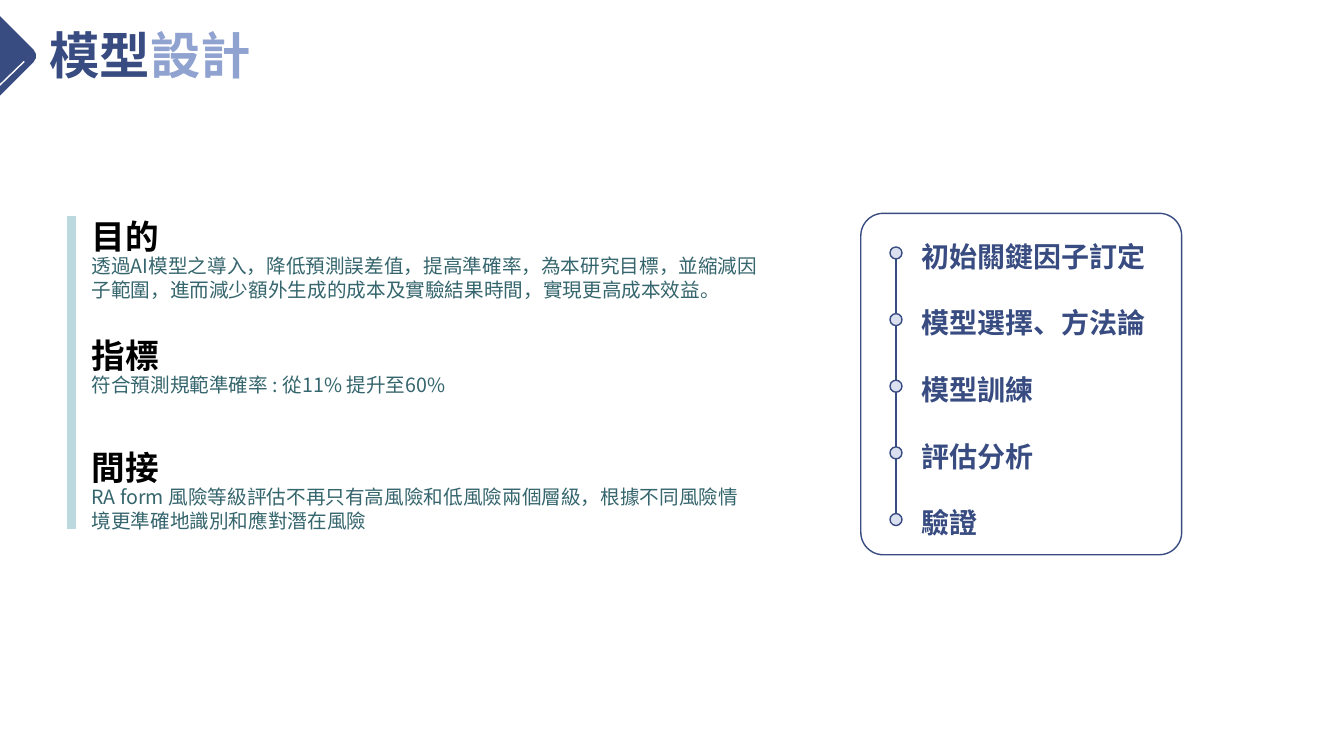
from dataclasses import dataclass

from lxml.etree import SubElement
from pptx import Presentation
from pptx.dml.color import RGBColor
from pptx.enum.shapes import MSO_CONNECTOR, MSO_SHAPE
from pptx.enum.text import MSO_ANCHOR, MSO_AUTO_SIZE, PP_ALIGN
from pptx.oxml.ns import qn
from pptx.util import Pt


@dataclass(frozen=True)
class Theme:
    font: str = "Noto Sans CJK SC"
    navy: str = "384C81"
    soft: str = "90A2CF"
    pale: str = "DAE0EF"
    teal: str = "35656D"
    mist: str = "BBD9DE"
    black: str = "000000"
    white: str = "FFFFFF"
    title: int = 36
    head: int = 24
    step: int = 20
    body: int = 14


THEME = Theme()

STEPS = ["初始關鍵因子訂定", "模型選擇、方法論", "模型訓練", "評估分析", "驗證"]
STEP_TOP, STEP_GAP = 180.7, 47.6
RAIL = 640

# Heading, text, top, text width
GOALS = [
    ("目的", "透過AI模型之導入，降低預測誤差值，提高準確率，為本研究目標，"
     "並縮減因子範圍，進而減少額外生成的成本及實驗結果時間，實現更高成本效益。", 150.5, 490.3),
    ("指標", "符合預測規範準確率 : 從11% 提升至60%", 235.5, 275),
    ("間接", "RA form 風險等級評估不再只有高風險和低風險兩個層級，"
     "根據不同風險情境更準確地識別和應對潛在風險", 315.5, 478.8),
]


def color(code):
    return RGBColor.from_string(code)


def add_run(para, text, size, code, bold=False):
    run = para.add_run()
    run.text = text
    font = run.font
    font.size, font.bold, font.name = Pt(size), bold, THEME.font
    font.color.rgb = color(code)
    SubElement(font._element, qn("a:ea"), typeface=THEME.font)


def place(shape, left, top, width, height):
    shape.left, shape.top = Pt(left), Pt(top)
    shape.width, shape.height = Pt(width), Pt(height)


def set_frame(frame, wrap, anchor=MSO_ANCHOR.TOP):
    frame.auto_size = MSO_AUTO_SIZE.NONE
    frame.word_wrap = wrap
    frame.vertical_anchor = anchor
    frame.margin_left = frame.margin_right = Pt(7.2)
    frame.margin_top = frame.margin_bottom = Pt(3.6)


def add_text(slide, box, text, size, line, code, bold=False, wrap=True):
    frame = slide.shapes.add_textbox(*map(Pt, box)).text_frame
    set_frame(frame, wrap)
    para = frame.paragraphs[0]
    para.line_spacing = Pt(line)
    add_run(para, text, size, code, bold)


def add_shape(slide, kind, box, fill=None, line=None):
    shape = slide.shapes.add_shape(kind, *map(Pt, box))
    shape.shadow.inherit = False
    if fill:
        shape.fill.solid()
        shape.fill.fore_color.rgb = color(fill)
    else:
        shape.fill.background()
    if line:
        shape.line.color.rgb = color(line)
        shape.line.width = Pt(1)
    else:
        shape.line.fill.background()
    return shape


def add_line(slide, ends, code, width):
    line = slide.shapes.add_connector(MSO_CONNECTOR.STRAIGHT, *map(Pt, ends))
    line.line.color.rgb = color(code)
    line.line.width = Pt(width)
    SubElement(line._element.spPr, qn("a:effectLst"))


def add_title(slide):
    title = slide.shapes.title
    place(title, 28.1, 13.4, 160, 51)
    set_frame(title.text_frame, False, MSO_ANCHOR.MIDDLE)
    para = title.text_frame.paragraphs[0]
    para.alignment = PP_ALIGN.LEFT
    add_run(para, "模型", THEME.title, THEME.navy, True)
    add_run(para, "設計", THEME.title, THEME.soft, True)

    # Corner mark
    mark = add_shape(slide, MSO_SHAPE.ROUNDED_RECTANGLE,
                     (-40.3, 11.5, 56.9, 56.9), THEME.navy)
    mark.adjustments[0] = 0.11
    mark.rotation = 45
    add_line(slide, (17.3, 43.9, -5, 65.5), THEME.white, 1)


def add_goals(slide):
    add_line(slide, (51.1, 154.1, 51.1, 378), THEME.mist, 6)
    for head, text, top, width in GOALS:
        add_text(slide, (58.3, top, 63.4, 36), head,
                 THEME.head, 29, THEME.black, True, False)
        add_text(slide, (58.3, top + 27, width, 41), text,
                 THEME.body, 17, THEME.teal)


def add_steps(slide):
    # Panel and rail
    panel = add_shape(slide, MSO_SHAPE.ROUNDED_RECTANGLE,
                      (614.9, 152.4, 229.2, 243.9), line=THEME.navy)
    panel.adjustments[0] = 0.07
    last = STEP_TOP + STEP_GAP * (len(STEPS) - 1)
    add_line(slide, (RAIL, STEP_TOP + 4.3, RAIL, last), THEME.navy, 1.5)

    # Step list
    body = slide.placeholders[1]
    place(body, 650.9, 167.2, 180, 226)
    set_frame(body.text_frame, True)
    for i, step in enumerate(STEPS):
        add_shape(slide, MSO_SHAPE.FLOWCHART_CONNECTOR,
                  (RAIL - 4.3, STEP_TOP + i * STEP_GAP - 4.3, 8.6, 8.6),
                  THEME.pale, THEME.navy)
        frame = body.text_frame
        para = frame.add_paragraph() if i else frame.paragraphs[0]
        para.line_spacing = Pt(24)
        para.space_before = Pt(STEP_GAP - 24 if i else 0)
        props = para._p.get_or_add_pPr()
        props.set("marL", "0")
        props.set("indent", "0")
        SubElement(props, qn("a:buNone"))
        add_run(para, step, THEME.step, THEME.navy, True)


def main():
    deck = Presentation()
    deck.slide_width, deck.slide_height = Pt(960), Pt(540)
    slide = deck.slides.add_slide(deck.slide_layouts[1])
    add_title(slide)
    add_goals(slide)
    add_steps(slide)
    deck.save("out.pptx")


if __name__ == "__main__":
    main()
